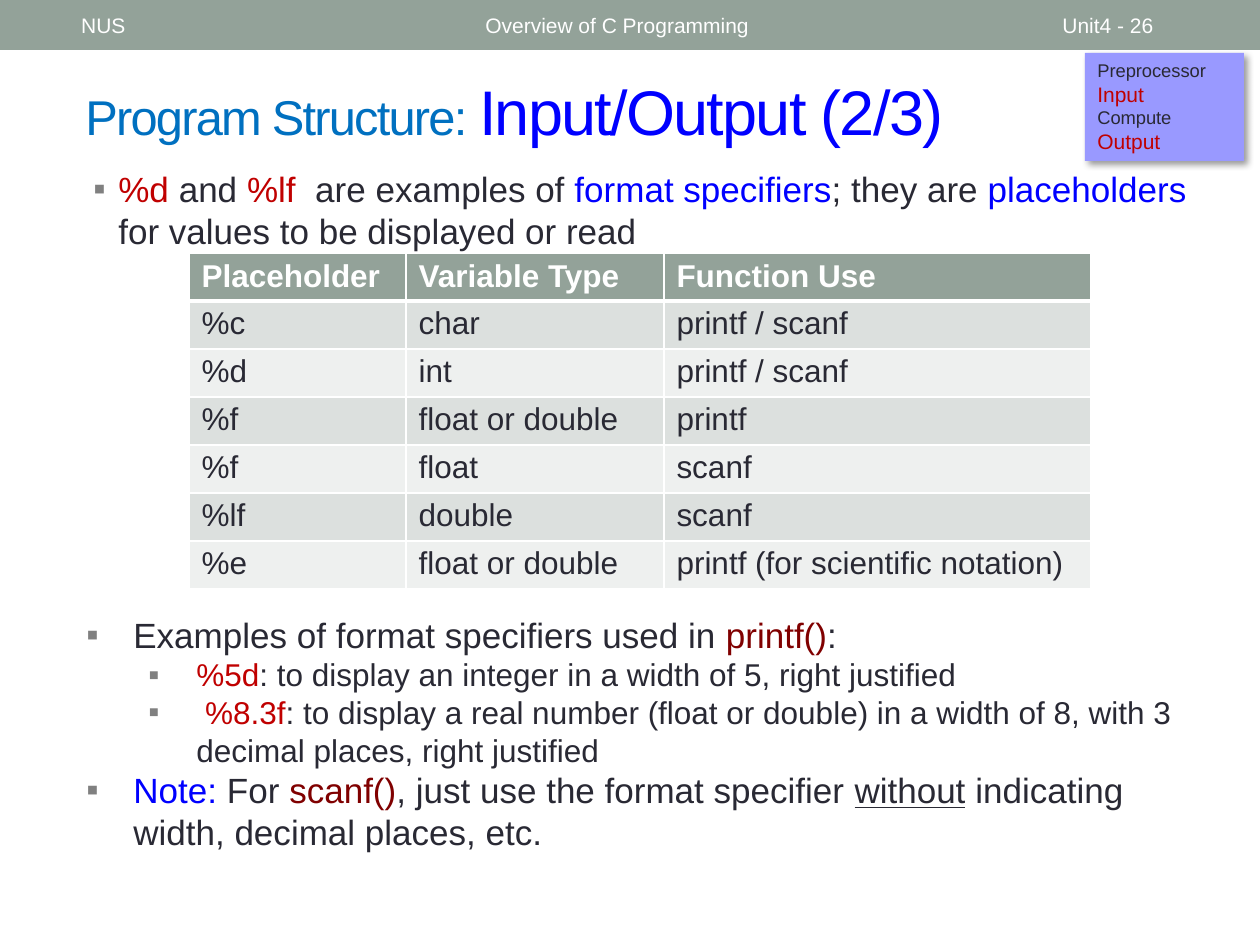
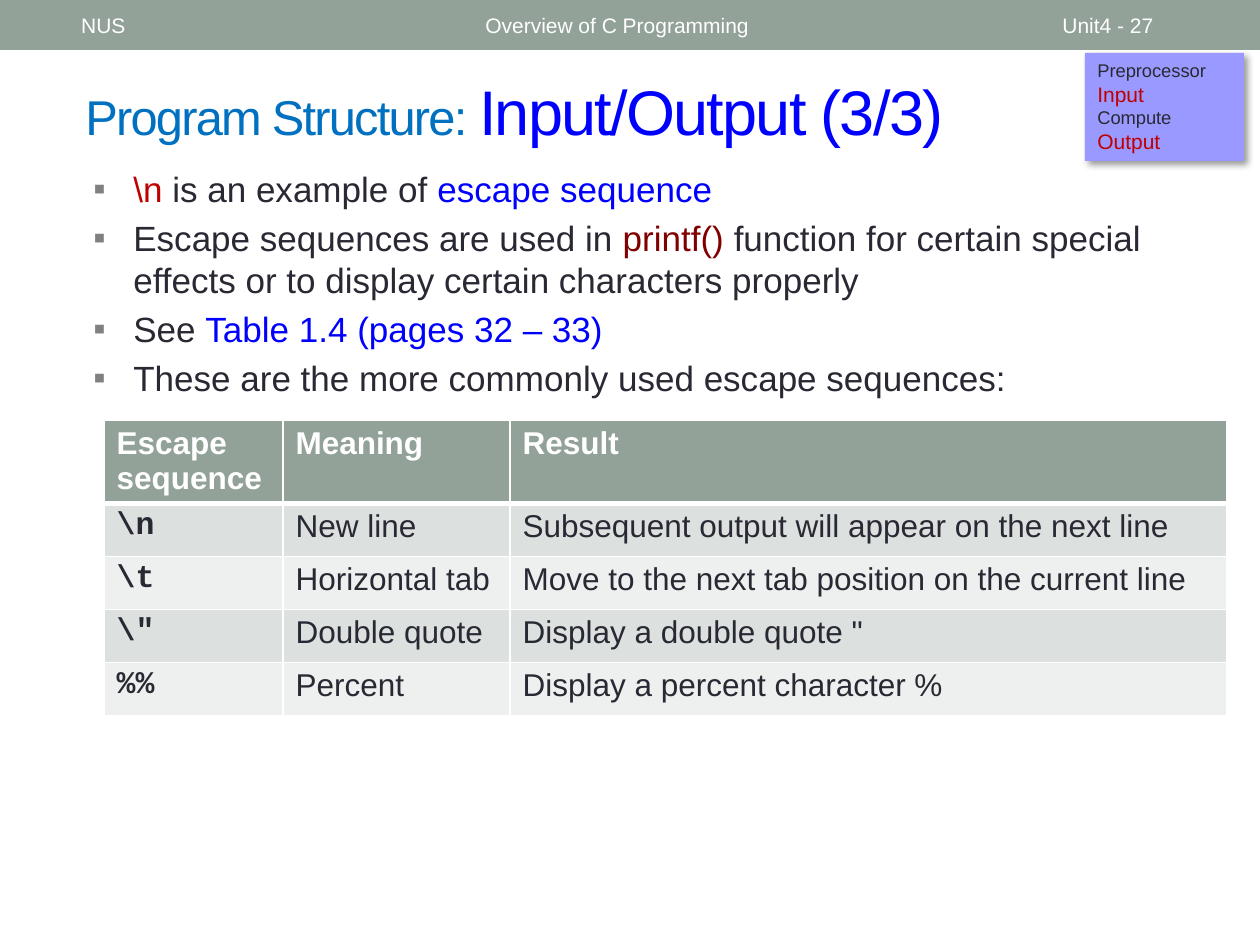
from lxml import etree
from pptx import Presentation
from pptx import util as u
from pptx.dml.color import RGBColor
from pptx.enum import shapes, text
from pptx.oxml import parse_xml
from pptx.oxml.ns import qn

PX = 7257.14
NS = 'xmlns:a="http://schemas.openxmlformats.org/drawingml/2006/main"'
SAGE, INK, WHITE = "93A299", "292934", "FFFFFF"
RED, BLUE, MAROON, SKY = "C00000", "0000FF", "800000", "0070C0"
STRIPES = ["EEF0EF", "DCE0DE"]
TOP, MIDDLE = text.MSO_ANCHOR.TOP, text.MSO_ANCHOR.MIDDLE


def color(value):
    return RGBColor.from_string(value)


def write(frame, spans, font="Arial", size=20, ink=INK, bold=None,
          before=0, left=0, hang=0, level=0, tracking=0):
    para = frame.paragraphs[0]
    if para.runs:
        para = frame.add_paragraph()
        para.space_before = u.Pt(before)
    para.level = level
    if hang:
        props = para._p.get_or_add_pPr()
        props.set("marL", str(round(left * PX)))
        props.set("indent", str(round(-hang * PX)))
        for bullet in ('<a:buClr {}><a:srgbClr val="808080"/></a:buClr>',
                       '<a:buFont {} typeface="Arial"/>', '<a:buChar {} char="▪"/>'):
            props.append(parse_xml(bullet.format(NS)))
    para.font.size = u.Pt(size)
    for words, *style in spans:
        span = para.add_run()
        span.text = words
        span.font.name = font
        span.font.size = u.Pt(style[1] if len(style) > 1 else size)
        span.font.color.rgb = color(style[0] if style else ink)
        span.font.bold = bold
        if len(style) > 2:
            span.font.underline = style[2]
        if tracking:
            span._r.get_or_add_rPr().set("spc", str(tracking))


point = dict(left=40, hang=40, before=4)
subpoint = dict(left=110, hang=48, level=1, size=18)
note = dict(left=47, hang=47)

pages = [
    dict(
        number=26, part="2/3",
        texts=[
            ((81, 161, 1134, 98), [
                ([("%d ", RED), ("and",), (" %lf  ", RED), ("are examples of ",),
                  ("format specifiers", BLUE), ("; they are ",), ("placeholders ", BLUE),
                  ("for values to be displayed or read",)], dict(left=25, hang=25)),
            ]),
            ((74, 607, 1134, 284), [
                ([("Examples of format specifiers used in ",), ("printf()", MAROON), (":",)], note),
                ([("%5d", RED), (": to display an integer in a width of 5, right justified",)],
                 subpoint),
                ([(" %8.3f", RED),
                  (": to display a real number (float or double) in a width of 8, "
                   "with 3 decimal places, right justified",)], subpoint),
                ([("Note: ", BLUE), ("For ",), ("scanf()", MAROON),
                  (", just use the format specifier ",), ("without", INK, 20, True),
                  (" indicating width, decimal places, etc.",)], note),
            ]),
        ],
        corner=(189, 253), widths=[217, 258, 427], heights=[48] * 7, key_font={},
        rows=[
            ["Placeholder", "Variable Type", "Function Use"],
            ["%c", "char", "printf / scanf"],
            ["%d", "int", "printf / scanf"],
            ["%f", "float or double", "printf"],
            ["%f", "float", "scanf"],
            ["%lf", "double", "scanf"],
            ["%e", "float or double", "printf (for scientific notation)"],
        ],
    ),
    dict(
        number=27, part="3/3",
        texts=[
            ((81, 161, 1134, 260), [
                ([("\\n ", RED), ("is an example of ",), ("escape sequence", BLUE)], point),
                ([("Escape sequences are used in ",), ("printf() ", MAROON),
                  ("function for certain special effects or to display certain "
                   "characters properly",)], point),
                ([("See ",), ("Table 1.4 (pages 32 – 33)", BLUE)], point),
                ([("These are the more commonly used escape sequences:",)], point),
            ]),
        ],
        corner=(104, 420), widths=[179, 227, 717], heights=[82] + [53] * 4,
        key_font=dict(font="Courier New", bold=True),
        rows=[
            ["Escape sequence", "Meaning", "Result"],
            ["\\n", "New line", "Subsequent output will appear on the next line"],
            ["\\t", "Horizontal tab", "Move to the next tab position on the current line"],
            ["\\\"", "Double quote", "Display a double quote \""],
            ["%%", "Percent", "Display a percent character %"],
        ],
    ),
]

deck = Presentation()
deck.slide_width, deck.slide_height = u.Inches(10), u.Inches(7.5)

for content in pages:
    page = deck.slides.add_slide(deck.slide_layouts[6])
    panels = []
    for area, fill in [((0, 0, 1260, 50), SAGE), ((1085, 53, 159, 108), "9999FF")]:
        panel = page.shapes.add_shape(shapes.MSO_SHAPE.RECTANGLE, *[round(n * PX) for n in area])
        panel.shadow.inherit = False
        panel.fill.solid()
        panel.fill.fore_color.rgb = color(fill)
        panel.line.fill.background()
        panels.append(panel)

    sticker = panels[1]
    sticker._element.spPr.find(qn("a:effectLst")).append(parse_xml(
        f'<a:outerShdw {NS} blurRad="50800" dist="38100" dir="2700000" algn="tl" rotWithShape="0">'
        '<a:srgbClr val="000000"><a:alpha val="40000"/></a:srgbClr></a:outerShdw>'))
    sticker.text_frame.vertical_anchor = TOP
    for step, size, ink in [("Preprocessor", 10.5, INK), ("Input", 12, RED),
                            ("Compute", 10.5, INK), ("Output", 12, RED)]:
        write(sticker.text_frame, [(step,)], size=size, ink=ink)
    for para in sticker.text_frame.paragraphs:
        para.alignment = text.PP_ALIGN.LEFT

    label = dict(size=12, ink=WHITE)
    title = [("Program Structure: ", SKY, 27.9), (f"Input/Output ({content['part']})", BLUE)]
    boxes = [
        ((73, 63, 1124, 95), MIDDLE, [(title, dict(size=36, tracking=-100))]),
        ((473, 3, 567, 45), MIDDLE, [([("Overview of C Programming",)], label)]),
        ((1050, 3, 147, 45), MIDDLE, [([(f"Unit4 - {content['number']}",)], label)]),
        ((63, 3, 399, 45), MIDDLE, [([(" NUS",)], label)]),
    ] + [(area, TOP, lines) for area, lines in content["texts"]]
    for area, anchor, lines in boxes:
        box = page.shapes.add_textbox(*[round(n * PX) for n in area])
        box.text_frame.word_wrap = True
        box.text_frame.vertical_anchor = anchor
        for spans, style in lines:
            write(box.text_frame, spans, **style)

    rows, widths, heights = content["rows"], content["widths"], content["heights"]
    area = (*content["corner"], sum(widths), sum(heights))
    table = page.shapes.add_table(len(rows), len(widths), *[round(n * PX) for n in area]).table
    for column, width in zip(table.columns, widths):
        column.width = round(width * PX)
    for r, row in enumerate(rows):
        table.rows[r].height = round(heights[r] * PX)
        for c, words in enumerate(row):
            cell = table.cell(r, c)
            cell.margin_top = round((6 if r == 0 else 5) * PX)
            cell.margin_bottom = round(2 * PX)
            style = dict(ink=WHITE, bold=True) if r == 0 else content["key_font"] if c == 0 else {}
            write(cell.text_frame, [(words,)], **{"size": 18, "bold": False, **style})
            props = cell._tc.get_or_add_tcPr()
            for side in "LRTB":
                thick = (r, side) in [(0, "B"), (1, "T")]
                edge = etree.SubElement(props, qn(f"a:ln{side}"), w=str(u.Pt(3 if thick else 1)))
                paint = etree.SubElement(edge, qn("a:solidFill"))
                etree.SubElement(paint, qn("a:srgbClr"), val=WHITE)
            cell.fill.solid()
            cell.fill.fore_color.rgb = color(SAGE if r == 0 else STRIPES[r % 2])

deck.save("out.pptx")
